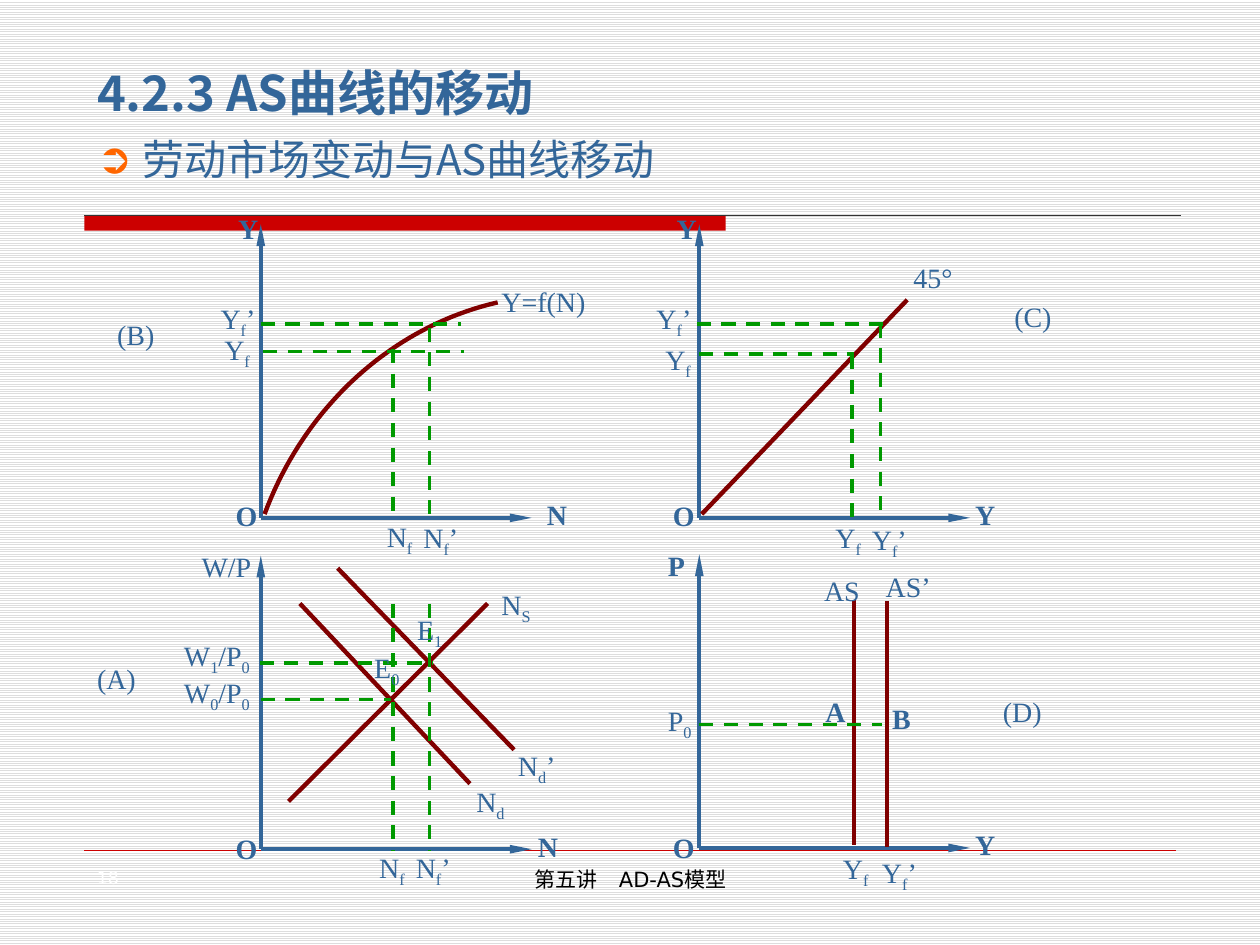
from pptx import Presentation
from pptx.dml.color import RGBColor
from pptx.enum.dml import MSO_LINE, MSO_PATTERN
from pptx.enum.shapes import MSO_CONNECTOR as CONNECTOR, MSO_SHAPE
from pptx.enum.text import MSO_ANCHOR, MSO_AUTO_SIZE, PP_ALIGN
from pptx.oxml import parse_xml
from pptx.oxml.ns import nsdecls, qn
from pptx.util import Inches, Pt
from lxml.etree import SubElement

color = RGBColor.from_string
BLUE, GREEN, MAROON, RED = "336699", "009900", "800000", "CC0000"

presentation = Presentation()
presentation.slide_width, presentation.slide_height = Inches(10), Inches(7.5)
slide = presentation.slides.add_slide(presentation.slide_layouts[1])
shapes = slide.shapes

background = slide.background.fill
background.patterned()
background.pattern = MSO_PATTERN.LIGHT_HORIZONTAL
background.fore_color.rgb = color("DDDDDD")
background.back_color.rgb = color("FFFFFF")


def add_line(x1, y1, x2, y2, line_color, width):
    connector = shapes.add_connector(
        CONNECTOR.STRAIGHT, Inches(x1), Inches(y1), Inches(x2), Inches(y2))
    connector.line.color.rgb = color(line_color)
    connector.line.width = Pt(width)
    SubElement(connector._element.spPr, qn("a:effectLst"))
    return connector


def style_run(run, size, font_name, font_color, bold=False):
    run.font.size = Pt(size)
    run.font.name = font_name
    run.font.bold = bold
    run.font.color.rgb = color(font_color)
    SubElement(run.font._element, qn("a:ea")).set("typeface", font_name)


bar = shapes.add_shape(MSO_SHAPE.RECTANGLE, Inches(0.67), Inches(1.71), Inches(5.09), Inches(0.12))
bar.shadow.inherit = False
bar.fill.solid()
bar.fill.fore_color.rgb = color(RED)
bar.line.fill.background()
add_line(0.67, 1.71, 9.37, 1.71, "333333", 0.75)
add_line(0.67, 6.75, 9.33, 6.75, RED, 0.25)

title, body = slide.placeholders
headings = [
    (title, "4.2.3 AS曲线的移动", 0.67, 0.52, 4.73, 0.47, 28),
    (body, "劳动市场变动与AS曲线移动", 0.77, 1.06, 4.65, 0.4, 24),
]
for placeholder, text, left, top, width, height, size in headings:
    placeholder.left, placeholder.top = Inches(left), Inches(top)
    placeholder.width, placeholder.height = Inches(width), Inches(height)
    frame = placeholder.text_frame
    frame.text = text
    frame.auto_size = MSO_AUTO_SIZE.NONE
    frame.vertical_anchor = MSO_ANCHOR.MIDDLE
    paragraph = frame.paragraphs[0]
    paragraph.alignment = PP_ALIGN.LEFT
    paragraph.space_before = Pt(0)
    style_run(paragraph.runs[0], size, "Noto Sans CJK SC", BLUE, placeholder is title)

title.text_frame.paragraphs[0].line_spacing = 0.9
title_fill = title.text_frame.paragraphs[0].runs[0].font._element.find(qn("a:solidFill"))
title_fill.addnext(parse_xml(
    f'<a:effectLst {nsdecls("a")}><a:outerShdw dist="25400" dir="2700000">'
    '<a:srgbClr val="C0C0C0"/></a:outerShdw></a:effectLst>'))

frame = body.text_frame
frame.margin_left = frame.margin_right = frame.margin_top = frame.margin_bottom = 0
bullet = frame.paragraphs[0]._p.get_or_add_pPr()
bullet.set("marL", str(Inches(0.36)))
bullet.set("indent", str(-Inches(0.36)))
bullet_color = SubElement(bullet, qn("a:buClr"))
SubElement(bullet_color, qn("a:srgbClr")).set("val", "FF6600")
SubElement(bullet, qn("a:buChar")).set("char", "➲")

for x, y in [(2.07, 4.11), (5.55, 4.11), (2.07, 6.74), (5.55, 6.73)]:
    for end_x, end_y in [(x, y - 2.33), (x + 2.15, y)]:
        axis = add_line(x, y, end_x, end_y, BLUE, 2.5)
        arrow = SubElement(axis._element.spPr.find(qn("a:ln")), qn("a:tailEnd"))
        arrow.set("type", "triangle")
        arrow.set("w", "sm")
        arrow.set("len", "lg")

curves = [
    (5.57, 4.08, 7.2, 2.38),
    (6.78, 4.76, 6.78, 6.71), (7.04, 4.77, 7.04, 6.72),
    (2.29, 6.36, 3.87, 4.79),
    (2.38, 4.79, 3.73, 6.22), (2.68, 4.51, 4.08, 5.95),
]
for ends in curves:
    add_line(*ends, MAROON, 2.5)

bezier = [(3.95, 2.4), (3.12, 2.59), (2.42, 3.22), (2.1, 4.08)]
points = []
for step in range(41):
    t = step / 40
    weights = [(1 - t) ** 3, 3 * t * (1 - t) ** 2, 3 * t ** 2 * (1 - t), t ** 3]
    points.append([Inches(sum(w * p[i] for w, p in zip(weights, bezier))) for i in (0, 1)])
builder = shapes.build_freeform(*points[0])
builder.add_line_segments(points[1:], close=False)
production = builder.convert_to_shape()
production.shadow.inherit = False
production.fill.background()
production.line.color.rgb = color(MAROON)
production.line.width = Pt(2.5)

guides = [
    (3.12, 2.77, 3.12, 4.1), (3.41, 2.6, 3.41, 4.09),
    (2.09, 2.79, 3.68, 2.79), (2.07, 2.57, 3.66, 2.57),
    (6.76, 2.82, 6.76, 4.11), (6.99, 2.57, 6.99, 4.12),
    (5.55, 2.81, 6.78, 2.81), (5.53, 2.57, 7.03, 2.57),
    (3.12, 4.79, 3.12, 6.75), (3.41, 4.79, 3.41, 6.75),
    (2.07, 5.55, 3.1, 5.55), (2.06, 5.26, 3.44, 5.26),
    (5.55, 5.75, 7, 5.75),
]
for ends in guides:
    add_line(*ends, GREEN, 2).line.dash_style = MSO_LINE.DASH

inset_labels = [
    ("O", 1.85, 3.95, 0.24), ("O", 5.32, 3.95, 0.24),
    ("O", 5.32, 6.58, 0.24), ("O", 1.85, 6.59, 0.24),
    ("Y", 1.87, 1.67, 0.24), ("Y", 5.35, 1.67, 0.24),
    ("P", 5.28, 4.34, 0.24), ("W/P", 1.58, 4.35, 0.54),
    ("N", 4.32, 3.94, 0.24), ("Y", 7.72, 3.94, 0.24),
    ("Y", 7.72, 6.56, 0.24), ("N", 4.25, 6.57, 0.24),
    ("Y=f(N)", 3.96, 2.25, 0.91), ("45°", 7.23, 2.06, 0.53),
    ("AS", 6.52, 4.54, 0.44), ("AS’", 7.01, 4.51, 0.46),
    ("N_f", 3.05, 4.11, 0.33), ("N_f_’", 3.34, 4.12, 0.38),
    ("N_f", 2.99, 6.74, 0.33), ("N_f_’", 3.28, 6.74, 0.38),
    ("Y_f", 6.61, 4.12, 0.28), ("Y_f_’", 6.9, 4.14, 0.33),
    ("Y_f", 6.67, 6.75, 0.28), ("Y_f_’", 6.98, 6.78, 0.33),
    ("Y_f", 1.76, 2.63, 0.35), ("Y_f_’", 1.73, 2.38, 0.41),
    ("Y_f", 5.26, 2.71, 0.35), ("Y_f_’", 5.19, 2.38, 0.41),
    ("P_0", 5.28, 5.57, 0.31), ("N_S", 3.96, 4.65, 0.28),
    ("N_d", 3.76, 6.22, 0.31), ("N_d_’", 4.09, 5.93, 0.43),
    ("E_0", 2.95, 5.15, 0.28), ("E_1", 3.29, 4.85, 0.28),
]
flush_labels = [
    ("W_0_/P_0", 1.46, 5.36, 0.59), ("W_1_/P_0", 1.46, 5.07, 0.59),
    ("A", 6.55, 5.51, 0.19), ("B", 7.08, 5.57, 0.19),
    ("(A)", 0.77, 5.25, 0.32), ("(B)", 0.93, 2.52, 0.36),
    ("(C)", 8.05, 2.38, 0.32), ("(D)", 7.96, 5.51, 0.32),
]
for labels, side, edge in [(inset_labels, 0.02, 0.01), (flush_labels, 0, 0)]:
    for text, left, top, width in labels:
        label = shapes.add_textbox(Inches(left), Inches(top), Inches(width), Inches(0.28))
        frame = label.text_frame
        frame.word_wrap = True
        frame.margin_left = frame.margin_right = Inches(side)
        frame.margin_top = frame.margin_bottom = Inches(edge)
        paragraph = frame.paragraphs[0]
        paragraph.alignment = PP_ALIGN.JUSTIFY
        for index, part in enumerate(text.split("_")):
            run = paragraph.add_run()
            run.text = part
            style_run(run, 16, "Times New Roman", BLUE, len(text) == 1)
            if index % 2:
                run.font._element.set("baseline", "-25000")

footers = [
    ("第五讲　AD-AS模型", 3.42, 3.17, 12, "000000", PP_ALIGN.CENTER),
    ("18", 0.67, 1, 10, "FFFFFF", PP_ALIGN.LEFT),
]
for text, left, width, size, font_color, alignment in footers:
    footer = shapes.add_textbox(Inches(left), Inches(6.83), Inches(width), Inches(0.52))
    footer.text_frame.word_wrap = True
    footer.text_frame.text = text
    paragraph = footer.text_frame.paragraphs[0]
    paragraph.alignment = alignment
    style_run(paragraph.runs[0], size, "DejaVu Sans", font_color)

presentation.save("out.pptx")
